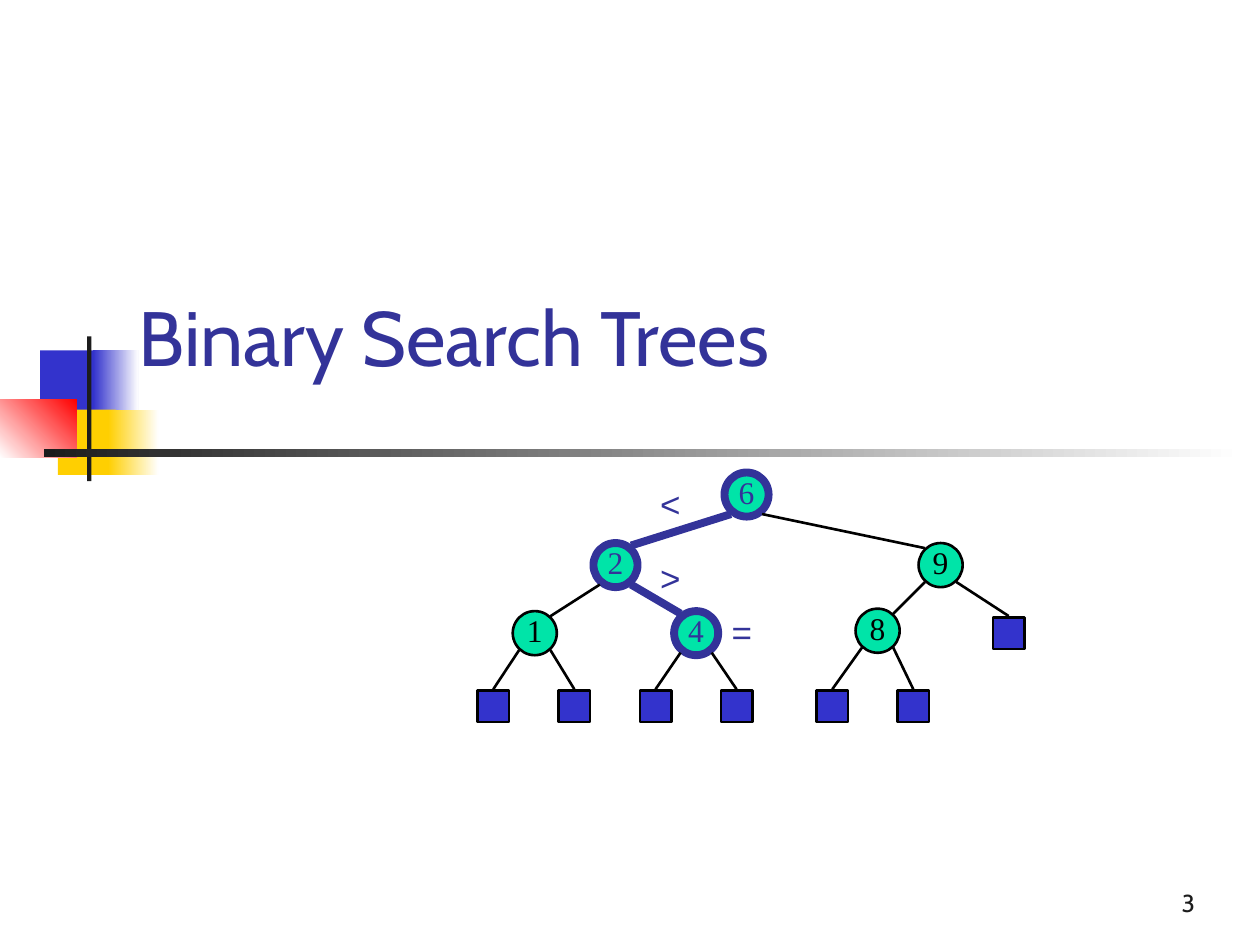
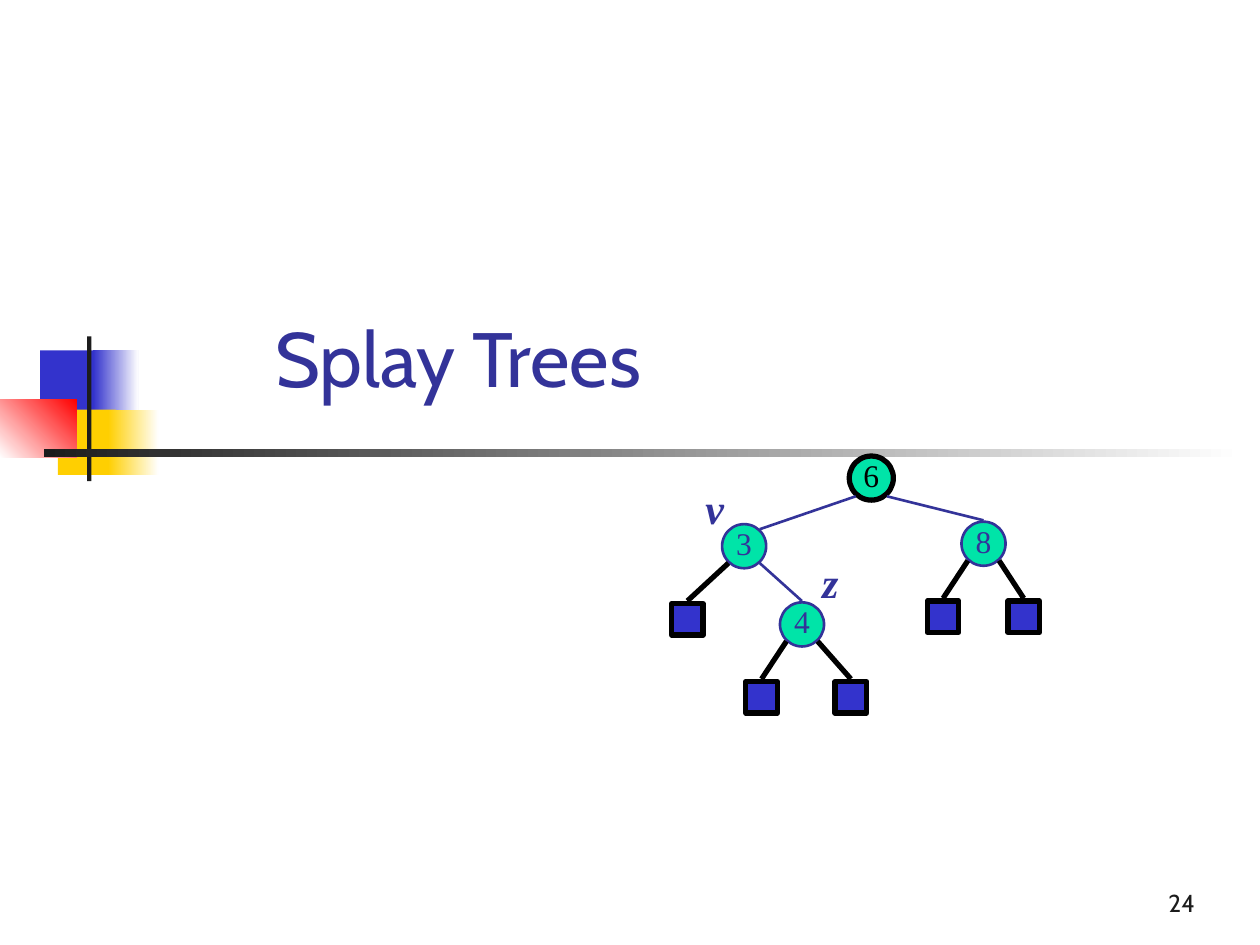
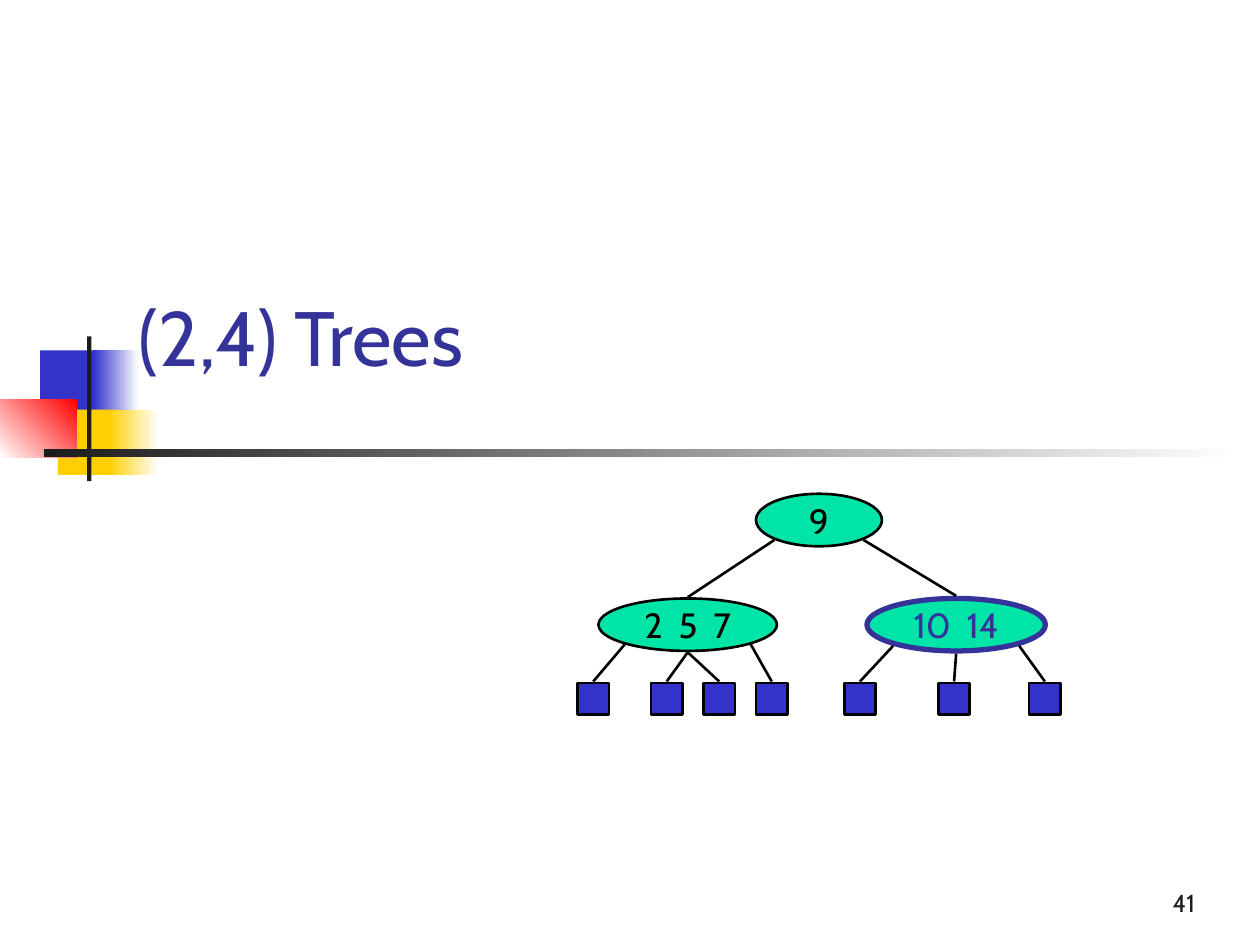
from math import sqrt

from lxml import etree
from pptx import Presentation
from pptx.dml.color import RGBColor
from pptx.enum.shapes import MSO_CONNECTOR, MSO_SHAPE
from pptx.enum.text import MSO_ANCHOR, MSO_AUTO_SIZE, PP_ALIGN
from pptx.oxml.ns import qn
from pptx.util import Pt

STRAIGHT = MSO_CONNECTOR.STRAIGHT
RECT, OVAL = MSO_SHAPE.RECTANGLE, MSO_SHAPE.OVAL
TOP, MIDDLE, BOTTOM = MSO_ANCHOR.TOP, MSO_ANCHOR.MIDDLE, MSO_ANCHOR.BOTTOM
LEFT, CENTER, RIGHT = PP_ALIGN.LEFT, PP_ALIGN.CENTER, PP_ALIGN.RIGHT
NO_FIT = MSO_AUTO_SIZE.NONE

COLORS = {
    "accent": "333399", "leaf": "3333CC", "node": "00E4A8", "line": "000000",
    "yellow": "FFCF01", "red": "FF0000", "dark": "1C1C1C", "white": "FFFFFF",
}
EMBLEM = [
    (23, 200.2, 34.6, 37.4, ("leaf",), 0),
    (53.3, 200.2, 25.9, 37.4, ("leaf", "white"), 0),
    (33.1, 234, 33.1, 37.4, ("yellow",), 0),
    (61.9, 234, 28.8, 37.4, ("yellow", "white"), 0),
    (0, 228.2, 44, 33.2, ("white", "red"), 45),
    (49.8, 192.2, 2.4, 82.8, ("dark",), 0),
    (25.2, 256.8, 684.7, 4.6, ("dark", "white"), 0),
]
HEADING = {"size": Pt(44), "name": "Cabin"}
PAGE = {"size": Pt(14), "name": "Cabin"}
KEY = {"size": Pt(18), "name": "Times New Roman"}
WIDE_KEY = {"size": Pt(20), "name": "Cabin"}
SIGN = {"size": Pt(20), "name": "Arial"}
VARIABLE = {"size": Pt(24), "name": "Times New Roman", "bold": True, "italic": True}
SIDES = {"left": -1, "bottom": 0, "top": 0, "right": 1}


def rgb(color):
    """Look up a named colour."""
    return RGBColor.from_string(COLORS[color])


class Deck:
    """Holds the shared style and the current slide."""

    def __init__(self):
        """Open a new 10 by 7.5 inch presentation."""
        self.prs = Presentation()
        self.prs.slide_width, self.prs.slide_height = Pt(720), Pt(540)
        self.slide = None

    def start(self, heading, page, box=(72, 132, 612, 90)):
        """Begin a slide with emblem, page number and heading."""
        self.slide = self.prs.slides.add_slide(self.prs.slide_layouts[5])
        for left, top, width, height, fills, angle in EMBLEM:
            self.block(RECT, (left, top, width, height), fills, angle)
        self.label(page, (540, 492, 150, 36), PAGE, "dark", RIGHT, BOTTOM)
        title = self.slide.shapes.title
        title.left, title.top, title.width, title.height = map(Pt, box)
        self.set_text(title, heading, HEADING, "accent", LEFT, BOTTOM)

    def set_text(self, holder, text, font, color, align, anchor,
                 insets=(7.2, 3.6, 7.2, 3.6), wrap=True):
        """Fill a text frame with one formatted paragraph."""
        frame = holder.text_frame
        left, top, right, bottom = map(Pt, insets)
        settings = {
            "auto_size": NO_FIT, "word_wrap": wrap, "vertical_anchor": anchor,
            "margin_left": left, "margin_top": top,
            "margin_right": right, "margin_bottom": bottom,
        }
        for name, value in settings.items():
            setattr(frame, name, value)
        paragraph = frame.paragraphs[0]
        paragraph.alignment = align
        run = paragraph.add_run()
        run.text = text
        for name, value in font.items():
            setattr(run.font, name, value)
        run.font.color.rgb = rgb(color)

    def label(self, text, box, font, color="accent", align=CENTER, anchor=TOP, wrap=True):
        """Add a text box."""
        holder = self.slide.shapes.add_textbox(*map(Pt, box))
        self.set_text(holder, text, font, color, align, anchor, wrap=wrap)

    def block(self, preset, box, fills, angle=0, line=None, weight=0):
        """Add a preset shape with a solid or two-colour gradient fill."""
        shape = self.slide.shapes.add_shape(preset, *map(Pt, box))
        shape.shadow.inherit = False
        if len(fills) == 1:
            shape.fill.solid()
            shape.fill.fore_color.rgb = rgb(fills[0])
        else:
            shape.fill.gradient()
            shape.fill.gradient_angle = angle
            for stop, color in zip(shape.fill.gradient_stops, fills):
                stop.color.rgb = rgb(color)
        if line:
            shape.line.color.rgb = rgb(line)
            shape.line.width = Pt(weight)
        else:
            shape.line.fill.background()
        return shape

    def node(self, key, x, y, color="line", weight=1.5, size=(25.2, 25.2),
             font=KEY, insets=(0, 0, 0, 3.6)):
        """Add a tree node centred on a point."""
        width, height = size
        box = (x - width / 2, y - height / 2, width, height)
        shape = self.block(OVAL, box, ("node",), line=color, weight=weight)
        self.set_text(shape, key, font, color, CENTER, MIDDLE, insets, wrap=False)
        return shape

    def wide_node(self, keys, x, y, width, **style):
        """Add a multi-key tree node centred on a point."""
        return self.node(keys, x, y, size=(width, 30), font=WIDE_KEY,
                         insets=(7.2, 3.6, 7.2, 3.6), **style)

    def port(self, shape, side, down):
        """Find where an edge meets a shape, below it or above it."""
        reach = 1 / sqrt(2) if SIDES[side] else 1
        x = shape.left + shape.width / 2 * (1 + SIDES[side] / sqrt(2))
        y = shape.top + shape.height / 2 * (1 + down * reach) + down * shape.line.width / 2
        return round(x), round(y)

    def edge(self, parent, side, child, child_side="top", color="line", weight=1.5):
        """Connect a parent node to a child."""
        ends = *self.port(parent, side, 1), *self.port(child, child_side, -1)
        line = self.slide.shapes.add_connector(STRAIGHT, *ends)
        line.line.color.rgb = rgb(color)
        line.line.width = Pt(weight)
        etree.SubElement(line._element.spPr, qn("a:effectLst"))

    def leaves(self, parent, y, children, weight=1.5):
        """Hang square leaves from a node, given as side and centre pairs."""
        for side, x in children:
            box = (x - 9, y - 9, 18, 18)
            leaf = self.block(RECT, box, ("leaf",), line="line", weight=weight)
            self.edge(parent, side, leaf, weight=weight)


def binary_search_trees(deck):
    """Build the search tree with its highlighted path."""
    deck.start("Binary Search Trees", "3")
    path_style = {"color": "accent", "weight": 4.5}
    six = deck.node("6", 426.6, 282.6, **path_style)
    nine = deck.node("9", 537.5, 322.9)
    two = deck.node("2", 351.7, 322.9, **path_style)
    four = deck.node("4", 397.8, 361.8, **path_style)
    one = deck.node("1", 305.6, 361.8)
    eight = deck.node("8", 501.5, 360.4)
    deck.edge(six, "left", two, "right", **path_style)
    deck.edge(six, "right", nine, "left")
    deck.edge(two, "left", one, "right")
    deck.edge(two, "right", four, "left", **path_style)
    deck.edge(nine, "left", eight, "right")
    deck.leaves(nine, 361.8, [("right", 576.4)])
    for parent, first in ((one, 281.9), (four, 374.6), (eight, 475.6)):
        deck.leaves(parent, 403.6, [("left", first), ("right", first + 46.3)])
    for sign, left, top, width in (("<", 370, 272.2, 26), (">", 370, 314.6, 26),
                                   ("=", 409, 345.6, 30)):
        deck.label(sign, (left, top, width, 31.7), SIGN, wrap=False)


def splay_trees(deck):
    """Build the splay tree with nodes v and z."""
    deck.start("Splay Trees", "24", (150, 144, 276, 90))
    six = deck.node("6", 497.9, 273.2, weight=3)
    three = deck.node("3", 425.2, 312.1, "accent")
    eight = deck.node("8", 562, 310.7, "accent")
    four = deck.node("4", 458.3, 356.8, "accent")
    deck.edge(six, "left", three, "right", "accent")
    deck.edge(six, "right", eight, color="accent")
    deck.edge(three, "right", four, color="accent")
    deck.leaves(three, 353.9, [("left", 392.8)], 3)
    deck.leaves(eight, 352.4, [("left", 538.9), ("right", 585)], 3)
    deck.leaves(four, 398.5, [("left", 435.2), ("right", 486.2)], 3)
    deck.label("v", (396, 272.2, 24.5, 36), VARIABLE)
    deck.label("z", (462.2, 314.6, 24.5, 36), VARIABLE)


def two_four_trees(deck):
    """Build the multi-way search tree."""
    deck.start("(2,4) Trees", "41")
    root = deck.wide_node("9", 468, 297.2, 72)
    low = deck.wide_node("2  5  7", 393, 357, 102)
    high = deck.wide_node("10  14", 546.4, 357, 102, color="accent", weight=3)
    deck.edge(root, "left", low)
    deck.edge(root, "right", high)
    deck.leaves(low, 399.2, [("left", 339), ("bottom", 381),
                             ("bottom", 411), ("right", 441)])
    deck.leaves(high, 399.2, [("left", 491.4), ("bottom", 545.2), ("right", 597.1)])


def main():
    """Build and save the deck."""
    deck = Deck()
    binary_search_trees(deck)
    splay_trees(deck)
    two_four_trees(deck)
    deck.prs.save("out.pptx")


if __name__ == "__main__":
    main()
